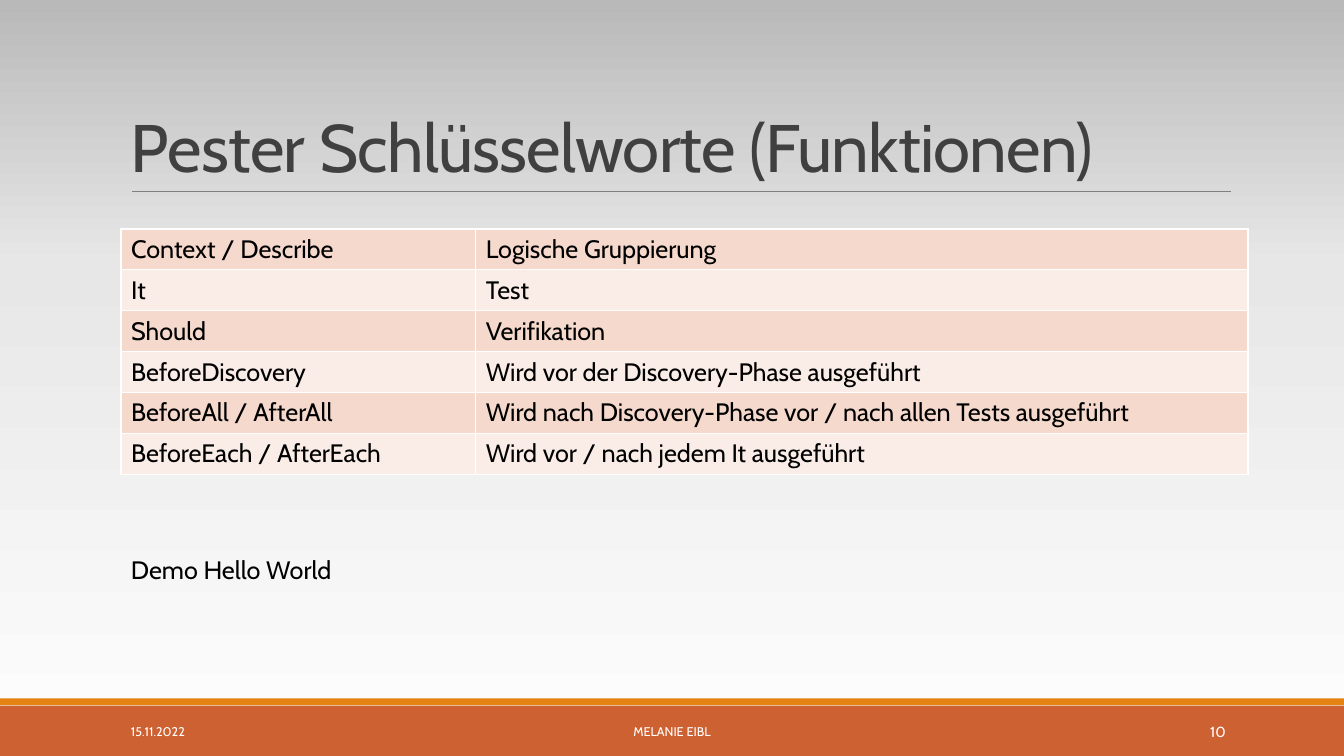
from copy import deepcopy
from dataclasses import dataclass

from lxml import etree
from pptx import Presentation
from pptx import util as u
from pptx.dml.color import RGBColor
from pptx.enum import shapes, text
from pptx.oxml.ns import qn
from pptx.slide import Slide
from pptx.text.text import TextFrame


@dataclass(frozen=True)
class Theme:
    font: str = "Cabin"
    title_color: str = "404040"
    body_color: str = "000000"
    footer_color: str = "FFFFFF"
    rule_color: str = "808080"
    border_color: str = "FFFFFF"
    bar_color: str = "CE6132"
    stripe_color: str = "E48312"
    band_colors: tuple[str, str] = ("F5D9CC", "FAEDE7")
    background: tuple[tuple[float, str], ...] = (
        (0, "FEFEFE"), (0.65, "E7E7E7"), (1, "B9B9B9"))
    title_size: float = 48
    body_size: float = 18
    footer_size: float = 9
    number_size: float = 10.5


@dataclass(frozen=True)
class Box:
    """Left, top, width and height in centimetres."""
    left: float
    top: float
    width: float
    height: float

    def lengths(self) -> tuple[u.Length, ...]:
        return tuple(u.Cm(n) for n in (self.left, self.top, self.width, self.height))


@dataclass(frozen=True)
class Bar:
    box: Box
    color: str


@dataclass(frozen=True)
class Label:
    content: str
    box: Box
    size: float
    color: str
    align: text.PP_ALIGN = text.PP_ALIGN.LEFT
    anchor: text.MSO_ANCHOR = text.MSO_ANCHOR.MIDDLE
    line_spacing: float = 1.0
    tracking: float = 0


THEME = Theme()
SLIDE_WIDTH, SLIDE_HEIGHT = 33.87, 19.05
LEFT = 3.05
CONTENT_WIDTH = 28.4
FOOTER_TOP, FOOTER_HEIGHT = 17.93, 1.02
RULE_LEFT, RULE_RIGHT, RULE_TOP = 3.33, 31.01, 4.83
TABLE_TOP, ROW_HEIGHT = 5.77, 1.03
COLUMN_WIDTHS = (8.94, 19.46)

BARS = (
    Bar(Box(0, 17.78, SLIDE_WIDTH, 1.27), THEME.bar_color),
    Bar(Box(0, 17.6, SLIDE_WIDTH, 0.17), THEME.stripe_color),
)
LABELS = (
    Label("Pester Schlüsselworte (Funktionen)", Box(LEFT, 0.79, 27.94, 4.04),
          THEME.title_size, THEME.title_color, anchor=text.MSO_ANCHOR.BOTTOM,
          line_spacing=0.85, tracking=-0.5),
    Label("Demo Hello World", Box(LEFT, 13.84, CONTENT_WIDTH, 1.02),
          THEME.body_size, THEME.body_color, anchor=text.MSO_ANCHOR.TOP),
    Label("15.11.2022", Box(LEFT, FOOTER_TOP, 6.86, FOOTER_HEIGHT),
          THEME.footer_size, THEME.footer_color),
    Label("MELANIE EIBL", Box(10.24, FOOTER_TOP, 13.39, FOOTER_HEIGHT),
          THEME.footer_size, THEME.footer_color, text.PP_ALIGN.CENTER),
    Label("10", Box(27.51, FOOTER_TOP, 3.63, FOOTER_HEIGHT),
          THEME.number_size, THEME.footer_color, text.PP_ALIGN.RIGHT),
)
KEYWORDS = (
    ("Context / Describe", "Logische Gruppierung"),
    ("It", "Test"),
    ("Should", "Verifikation"),
    ("BeforeDiscovery", "Wird vor der Discovery-Phase ausgeführt"),
    ("BeforeAll / AfterAll", "Wird nach Discovery-Phase vor / nach allen Tests ausgeführt"),
    ("BeforeEach / AfterEach", "Wird vor / nach jedem It ausgeführt"),
)


def rgb(color: str) -> RGBColor:
    return RGBColor.from_string(color)


def write_text(frame: TextFrame, content: str, *, size: float, color: str,
               align: text.PP_ALIGN = text.PP_ALIGN.LEFT,
               line_spacing: float = 1.0, tracking: float = 0) -> None:
    paragraph = frame.paragraphs[0]
    paragraph.alignment = align
    paragraph.line_spacing = line_spacing
    run = paragraph.add_run()
    run.text = content
    run.font.name = THEME.font
    run.font.size = u.Pt(size)
    run.font.color.rgb = rgb(color)
    if tracking:
        run._r.get_or_add_rPr().set("spc", str(round(tracking * 100)))


def paint_background(slide: Slide) -> None:
    fill = slide.background.fill
    fill.gradient()
    fill.gradient_angle = 90
    stop_list = slide.background._cSld.find(".//" + qn("a:gsLst"))
    stop_list.append(deepcopy(stop_list[0]))
    for stop, (position, color) in zip(fill.gradient_stops, THEME.background):
        stop.position = position
        stop.color.rgb = rgb(color)


def draw_bar(slide: Slide, bar: Bar) -> None:
    shape = slide.shapes.add_shape(shapes.MSO_SHAPE.RECTANGLE, *bar.box.lengths())
    shape.shadow.inherit = False
    shape.fill.solid()
    shape.fill.fore_color.rgb = rgb(bar.color)
    shape.line.fill.background()


def draw_title_rule(slide: Slide) -> None:
    rule = slide.shapes.add_connector(
        shapes.MSO_CONNECTOR.STRAIGHT, u.Cm(RULE_LEFT), u.Cm(RULE_TOP),
        u.Cm(RULE_RIGHT), u.Cm(RULE_TOP))
    rule.line.color.rgb = rgb(THEME.rule_color)
    rule.line.width = u.Pt(0.5)
    etree.SubElement(rule._element.spPr, qn("a:effectLst"))


def draw_label(slide: Slide, label: Label) -> None:
    frame = slide.shapes.add_textbox(*label.box.lengths()).text_frame
    frame.word_wrap = True
    frame.vertical_anchor = label.anchor
    write_text(frame, label.content, size=label.size, color=label.color,
               align=label.align, line_spacing=label.line_spacing,
               tracking=label.tracking)


def add_borders(cell) -> None:
    properties = cell._tc.get_or_add_tcPr()
    for side in ("lnL", "lnR", "lnT", "lnB"):
        line = etree.SubElement(properties, qn(f"a:{side}"), w=str(u.Pt(1)))
        solid = etree.SubElement(line, qn("a:solidFill"))
        etree.SubElement(solid, qn("a:srgbClr"), val=THEME.border_color)


def draw_keyword_table(slide: Slide) -> None:
    box = Box(LEFT, TABLE_TOP, CONTENT_WIDTH, ROW_HEIGHT * len(KEYWORDS))
    table = slide.shapes.add_table(
        len(KEYWORDS), len(COLUMN_WIDTHS), *box.lengths()).table
    table.first_row = False
    table.horz_banding = False
    for column, width in zip(table.columns, COLUMN_WIDTHS):
        column.width = u.Cm(width)
    for index, (row, contents) in enumerate(zip(table.rows, KEYWORDS)):
        row.height = u.Cm(ROW_HEIGHT)
        for cell, content in zip(row.cells, contents):
            add_borders(cell)
            cell.fill.solid()
            cell.fill.fore_color.rgb = rgb(THEME.band_colors[index % 2])
            write_text(cell.text_frame, content,
                       size=THEME.body_size, color=THEME.body_color)


def main() -> None:
    presentation = Presentation()
    presentation.slide_width = u.Cm(SLIDE_WIDTH)
    presentation.slide_height = u.Cm(SLIDE_HEIGHT)
    slide = presentation.slides.add_slide(presentation.slide_layouts[6])
    paint_background(slide)
    for bar in BARS:
        draw_bar(slide, bar)
    draw_title_rule(slide)
    draw_keyword_table(slide)
    for label in LABELS:
        draw_label(slide, label)
    presentation.save("out.pptx")


if __name__ == "__main__":
    main()
